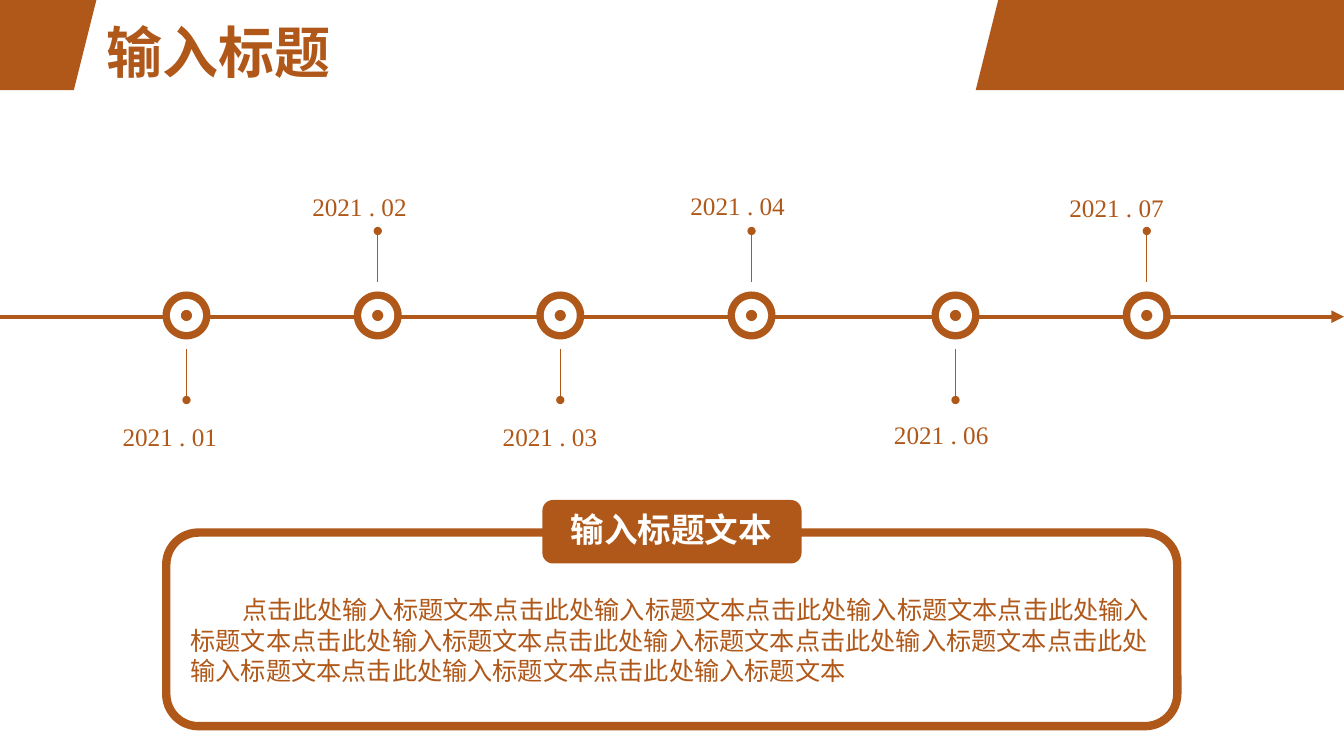
from dataclasses import dataclass

from lxml.etree import SubElement
from pptx import Presentation
from pptx.dml.color import RGBColor
from pptx.enum.lang import MSO_LANGUAGE_ID as Lang
from pptx.enum.shapes import MSO_CONNECTOR as Link, MSO_SHAPE as Shape
from pptx.enum.text import MSO_ANCHOR as Anchor, MSO_AUTO_SIZE as Fit, PP_ALIGN as Align
from pptx.oxml.ns import qn
from pptx.util import Cm, Pt


@dataclass(frozen=True)
class Theme:
    accent: RGBColor = RGBColor(0xAF, 0x58, 0x19)
    white: RGBColor = RGBColor(0xFF, 0xFF, 0xFF)
    font: str = "Times New Roman"
    title: int = 40
    heading: int = 24
    body: int = 18


class Painter:
    def __init__(self, slide, theme):
        self.shapes = slide.shapes
        self.theme = theme

    def shape(self, kind, left, top, width, height, fill=None, line=None, weight=1):
        item = self.shapes.add_shape(kind, Cm(left), Cm(top), Cm(width), Cm(height))
        item.shadow.inherit = False
        if fill is None:
            item.fill.background()
        else:
            item.fill.solid()
            item.fill.fore_color.rgb = fill
        if line is None:
            item.line.fill.background()
        else:
            item.line.color.rgb = line
            item.line.width = Pt(weight)

    def disc(self, x, y, diameter, line, weight):
        self.shape(Shape.OVAL, x - diameter / 2, y - diameter / 2, diameter, diameter,
                   self.theme.accent, line, weight)

    def arrow(self, start, end, weight, head):
        line = self.shapes.add_connector(Link.STRAIGHT, *map(Cm, start + end))
        line.line.color.rgb = self.theme.accent
        line.line.width = Pt(weight)
        SubElement(line.line._get_or_add_ln(), qn("a:tailEnd"), type=head)
        SubElement(line._element.spPr, qn("a:effectLst"))

    def text(self, words, left, top, width, height, size, color=None, bold=False,
             align=Align.LEFT, anchor=Anchor.TOP, indent=0):
        frame = self.shapes.add_textbox(Cm(left), Cm(top), Cm(width), Cm(height)).text_frame
        frame.word_wrap = True
        frame.auto_size = Fit.SHAPE_TO_FIT_TEXT
        frame.vertical_anchor = anchor
        paragraph = frame.paragraphs[0]
        paragraph.alignment = align
        if indent:
            paragraph._p.get_or_add_pPr().set("indent", str(Cm(indent)))
        run = paragraph.add_run()
        run.text = words
        run.font.name = self.theme.font
        run.font.size = Pt(size)
        run.font.bold = bold
        run.font.color.rgb = color or self.theme.accent
        run.font.language_id = Lang.SIMPLIFIED_CHINESE

    def milestone(self, x, y, direction):
        self.disc(x, y, 1.12, self.theme.accent, 2.5)
        self.disc(x, y, 0.56, self.theme.white, 7.75)
        self.arrow((x, y + direction * 0.84), (x, y + direction * 2.13), 1, "oval")


def main():
    deck = Presentation()
    deck.slide_width, deck.slide_height = Cm(33.87), Cm(19.05)
    theme = Theme()
    painter = Painter(deck.slides.add_slide(deck.slide_layouts[6]), theme)

    for left, width in ((24.59, 11), (-1.35, 3.78)):
        painter.shape(Shape.PARALLELOGRAM, left, 0, width, 2.27, theme.accent)
    painter.text("输入标题", 2.44, 0.31, 9.98, 1.96, theme.title, bold=True)

    painter.arrow((0, 7.98), (33.87, 7.98), 3, "triangle")
    up, down = -1, 1
    milestones = (
        ("2021 . 01", 4.7, down, 2.84, 10.49),
        ("2021 . 02", 9.52, up, 7.62, 4.7),
        ("2021 . 03", 14.12, down, 12.42, 10.49),
        ("2021 . 04", 18.94, up, 17.15, 4.68),
        ("2021 . 06", 24.08, down, 22.28, 10.44),
        ("2021 . 07", 28.9, up, 26.7, 4.72),
    )
    for date, x, direction, date_left, date_top in milestones:
        painter.milestone(x, 7.95, direction)
        painter.text(date, date_left, date_top, 3.71, 1.02, theme.body)

    painter.shape(Shape.ROUNDED_RECTANGLE, 4.19, 13.42, 25.48, 4.88, line=theme.accent, weight=6)
    painter.shape(Shape.ROUNDED_RECTANGLE, 13.67, 12.6, 6.53, 1.6, theme.accent)
    painter.text("输入标题文本", 14, 12.7, 5.84, 1.27, theme.heading, theme.white,
                 True, Align.CENTER, Anchor.MIDDLE)
    painter.text("点击此处输入标题文本" * 10, 4.55, 14.86, 24.77, 2.57, theme.body, indent=1.3)

    deck.save("out.pptx")


if __name__ == "__main__":
    main()
